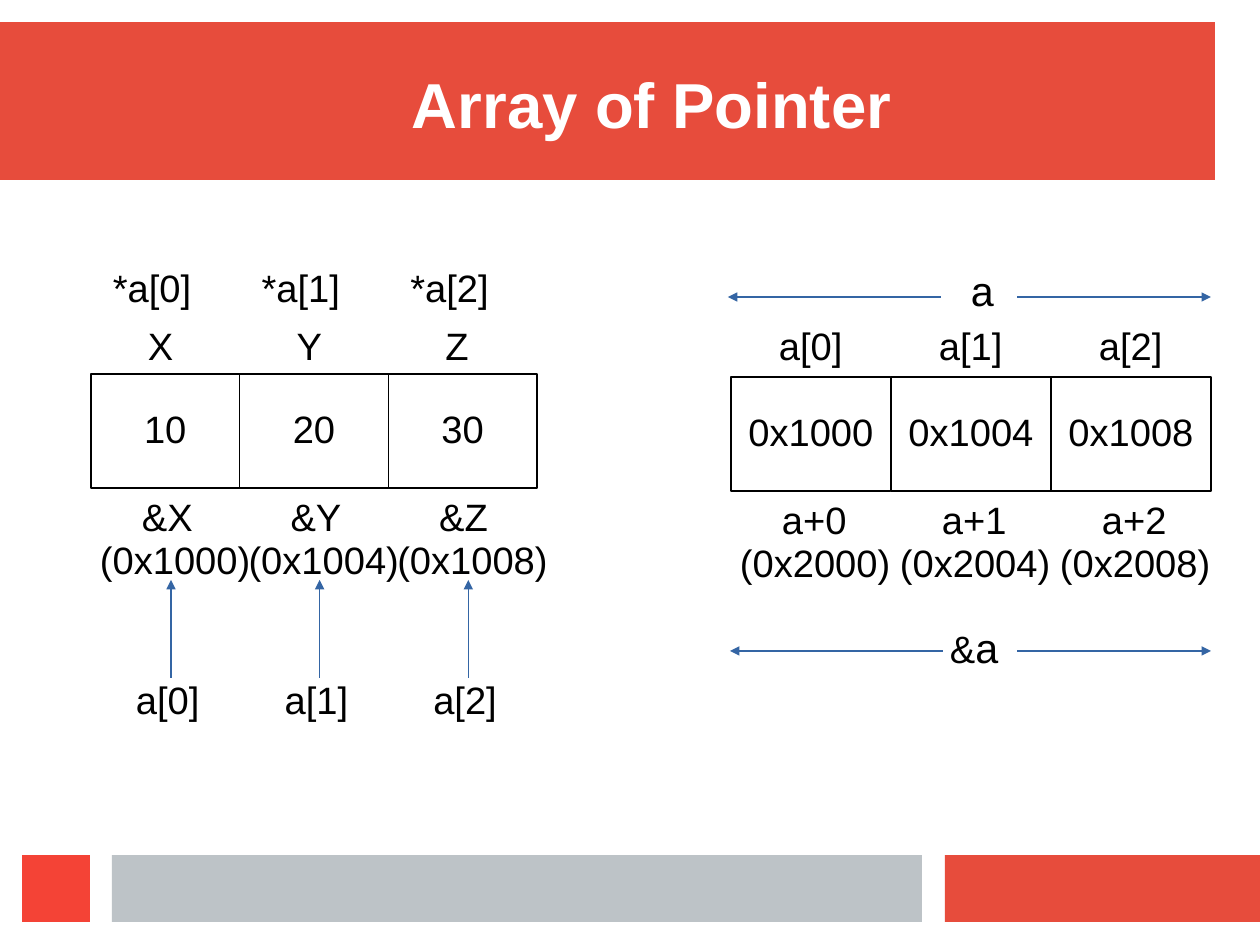
from pptx import Presentation
from pptx.dml.color import RGBColor
from pptx.enum.shapes import MSO_CONNECTOR, MSO_SHAPE
from pptx.enum.text import MSO_ANCHOR, PP_ALIGN
from pptx.oxml.ns import qn
from pptx.util import Pt
from lxml import etree

RECTANGLE = MSO_SHAPE.RECTANGLE
STRAIGHT = MSO_CONNECTOR.STRAIGHT
LEFT, CENTER = PP_ALIGN.LEFT, PP_ALIGN.CENTER
TOP, MIDDLE = MSO_ANCHOR.TOP, MSO_ANCHOR.MIDDLE

EMU_PER_PX = 8000
FONT = "Arial"
COLORS = {
    "brand": "E74C3C",
    "accent": "F44336",
    "gray": "BDC3C7",
    "arrow": "3465A4",
    "black": "000000",
    "white": "FFFFFF",
}


def px(length):
    return round(length * EMU_PER_PX)


def color(name):
    return RGBColor.from_string(COLORS[name])


def write_text(shape, lines, size=24, ink="black", bold=False, align=LEFT,
               anchor=TOP, right_inset=0, indents=(0,)):
    frame = shape.text_frame
    frame.word_wrap = True
    frame.vertical_anchor = anchor
    frame.margin_left, frame.margin_right = px(11), px(right_inset)
    frame.margin_top = frame.margin_bottom = px(6)
    for index, line in enumerate(lines):
        paragraph = frame.add_paragraph() if index else frame.paragraphs[0]
        paragraph.alignment = align
        paragraph.line_spacing = 0.94
        indent = indents[index] if index < len(indents) else 0
        if indent:
            paragraph._p.get_or_add_pPr().set("marL", str(px(indent)))
        runs = [(line, size)] if isinstance(line, str) else line
        for text, run_size in runs:
            run = paragraph.add_run()
            run.text = text
            run.font.name = FONT
            run.font.size = Pt(run_size)
            run.font.bold = bold
            run.font.color.rgb = color(ink)


def add_label(slide, box, lines, **text_format):
    label = slide.shapes.add_textbox(*map(px, box))
    write_text(label, lines, **text_format)


def add_rectangle(slide, box, fill, outline=None):
    shape = slide.shapes.add_shape(RECTANGLE, *map(px, box))
    shape.shadow.inherit = False
    shape.fill.solid()
    shape.fill.fore_color.rgb = color(fill)
    if outline:
        shape.line.color.rgb = color(outline)
        shape.line.width = Pt(0.75)
    else:
        shape.line.fill.background()
    return shape


def add_arrow(slide, start, end):
    arrow = slide.shapes.add_connector(STRAIGHT, *map(px, start + end))
    arrow.line.color.rgb = color("arrow")
    arrow.line.width = Pt(0.75)
    etree.SubElement(arrow.line._get_or_add_ln(), qn("a:tailEnd"), type="triangle")
    etree.SubElement(arrow._element.spPr, qn("a:effectLst"))


def draw_header(slide, box):
    left, top, width, height = box
    add_rectangle(slide, box, "brand")
    add_label(slide, (left + 401, top + 43, 502, 83), ["Array of Pointer"],
              size=40, ink="white", bold=True)


def draw_footer(slide, box):
    left, top, width, height = box
    for offset, bar_width, fill in ((0, 68, "accent"), (90, 810, "gray"), (923, 315, "brand")):
        add_rectangle(slide, (left + offset, top, bar_width, height), fill)


def draw_cell(slide, box, value, name, name_offset, address):
    left, top, width, height = box
    cell = add_rectangle(slide, box, "white", outline="black")
    write_text(cell, [value], align=CENTER, anchor=MIDDLE, right_inset=11)
    add_label(slide, (left + name_offset, 320, 86, 54), [name])
    add_label(slide, (left - 34, top + height + 3, 206, 100), address, indents=(74, 32))


def draw_variables(slide, box):
    left, top, width, height = box
    cell_width = width / 3
    for index, name in enumerate("XYZ"):
        cell_left = left + index * cell_width
        arrow_x = cell_left + 80
        draw_cell(slide, (cell_left, top, cell_width, height), str(10 * (index + 1)),
                  name, 46, [f"&{name}", f"(0x{1000 + 4 * index})"])
        add_label(slide, (cell_left, top - 112, 137, 57), [f"*a[{index}]"], indents=(11,))
        add_arrow(slide, (arrow_x, top + 304), (arrow_x, top + 206))
        add_label(slide, (cell_left + 34, top + 300, 86, 54), [f"a[{index}]"])


def draw_pointers(slide, box):
    left, top, width, height = box
    cell_width = width / 3
    for index in range(3):
        cell_left = left + index * cell_width
        draw_cell(slide, (cell_left, top, cell_width, height), f"0x{1000 + 4 * index}",
                  f"a[{index}]", 37, [f"a+{index}", f"(0x{2000 + 4 * index})"])
    add_label(slide, (left + 229, top - 114, 46, 58), ["a"], size=26)
    add_label(slide, (left + 208, top + 243, 100, 58), [[("&", 24), ("a", 26)]])
    for span_y, shift in ((top - 80, -3), (top + 274, -1)):
        add_arrow(slide, (left + 213 + shift, span_y), (left + shift, span_y))
        add_arrow(slide, (left + 286, span_y), (left + width, span_y))


def main():
    presentation = Presentation()
    presentation.slide_width = px(1260)
    presentation.slide_height = px(945)
    slide = presentation.slides.add_slide(presentation.slide_layouts[6])
    draw_header(slide, (0, 22, 1215, 158))
    draw_footer(slide, (22, 855, 1238, 67))
    draw_variables(slide, (91, 374, 446, 114))
    draw_pointers(slide, (731, 377, 480, 114))
    presentation.save("out.pptx")


if __name__ == "__main__":
    main()
